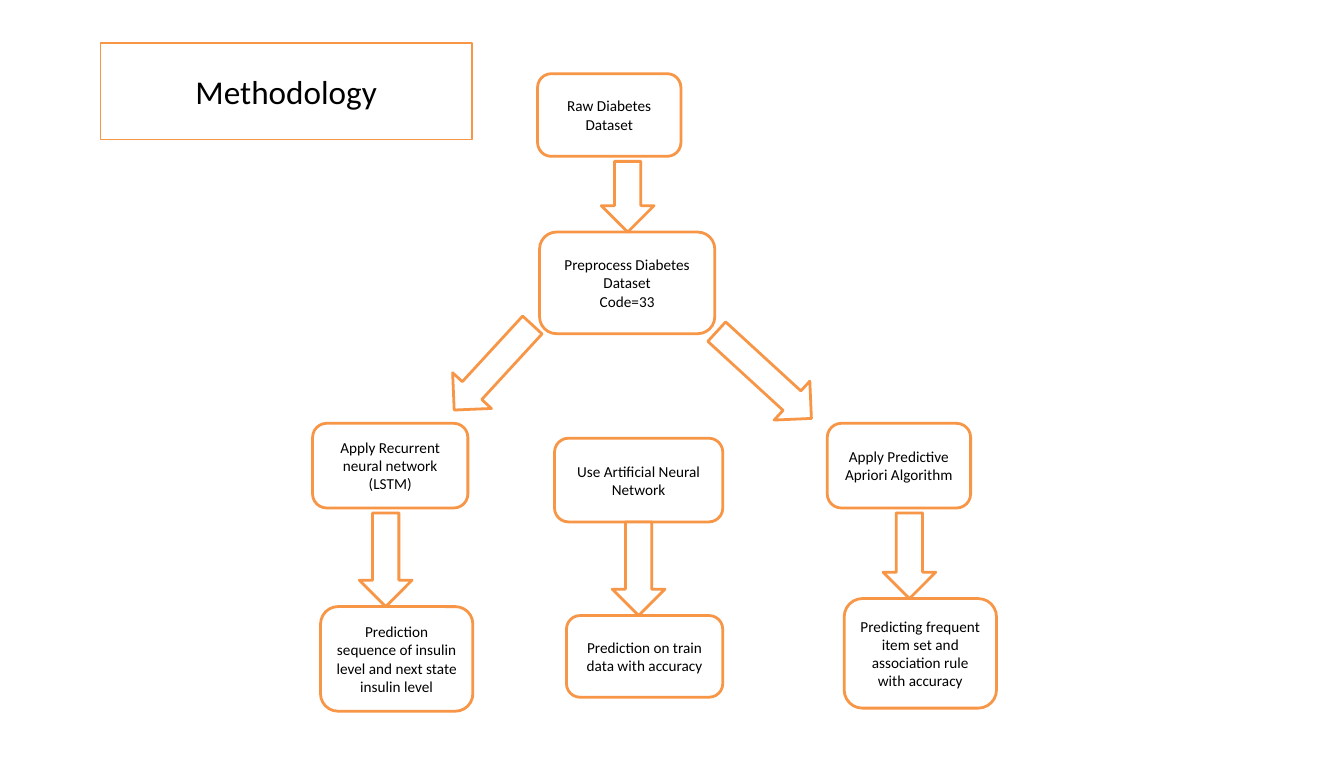
from pptx import Presentation
from pptx.dml.color import RGBColor
from pptx.enum.shapes import MSO_SHAPE
from pptx.enum.text import MSO_ANCHOR, MSO_AUTO_SIZE, PP_ALIGN
from pptx.util import Inches, Pt

ORANGE, WHITE, BLACK = "F79646", "FFFFFF", "000000"
ARROW_W = 0.53


def color(value):
    return RGBColor.from_string(value)


def outline(sp, width=2):
    sp.fill.solid()
    sp.fill.fore_color.rgb = color(WHITE)
    sp.line.color.rgb = color(ORANGE)
    sp.line.width = Pt(width)


def write(sp, text, size=11, font="Calibri", ink=BLACK, indent=0):
    tf = sp.text_frame
    tf.word_wrap = True
    tf.auto_size = MSO_AUTO_SIZE.NONE
    tf.vertical_anchor = MSO_ANCHOR.MIDDLE
    tf.text = text
    for p in tf.paragraphs:
        p.alignment = PP_ALIGN.CENTER
        pPr = p._p.get_or_add_pPr()
        pPr.set("marL", "0")
        pPr.set("indent", str(Inches(indent)))
        for r in p.runs:
            r.font.size = Pt(size)
            r.font.name = font
            r.font.color.rgb = color(ink)


def add_outlined(s, kind, x, y, w, h):
    sp = s.shapes.add_shape(kind, Inches(x), Inches(y), Inches(w), Inches(h))
    sp.shadow.inherit = False
    outline(sp)
    return sp


def add_step(s, x, y, w, h, text):
    sp = add_outlined(s, MSO_SHAPE.ROUNDED_RECTANGLE, x, y, w, h)
    write(sp, text, indent=-0.08)


def add_arrow(s, x, y, h, rotation=0):
    sp = add_outlined(s, MSO_SHAPE.DOWN_ARROW, x, y, ARROW_W, h)
    sp.rotation = rotation


def add_title(s, x, y, w, h, text):
    sp = s.shapes.title
    sp.left, sp.top, sp.width, sp.height = map(Inches, (x, y, w, h))
    outline(sp, width=1)
    write(sp, text, size=24)


def add_preparation(s, x, y):
    # Raw data leads down to preprocessing
    add_step(s, x, y, 1.44, 0.83, "Raw Diabetes\nDataset")
    add_step(s, x + 0.02, y + 1.59, 1.76, 1.02,
             "Preprocess Diabetes Dataset\nCode=33")
    add_arrow(s, x + 0.64, y + 0.88, 0.71)
    # Slanted arrows to the outer branches
    add_arrow(s, x - 0.71, y + 2.37, 1.16, rotation=42.6)
    add_arrow(s, x + 2.01, y + 2.38, 1.29, rotation=312.5)


def add_branch(s, x, y, method, outcome, arrow_dx, gap=0.05):
    """Method and outcome are (dx, dy, width, height, text) from x, y."""
    for dx, dy, w, h, text in (method, outcome):
        add_step(s, x + dx, y + dy, w, h, text)
    start = method[3] + gap
    add_arrow(s, x + arrow_dx, y + start, outcome[1] - start)


def main():
    prs = Presentation()
    prs.slide_width, prs.slide_height = Inches(13.5), Inches(7.6)
    s = prs.slides.add_slide(prs.slide_layouts[5])

    add_title(s, 1.01, 0.43, 3.73, 0.97, "Methodology")
    add_preparation(s, 5.4, 0.74)

    # Recurrent network
    add_branch(s, 3.14, 4.25,
               (0, 0, 1.56, 0.85, "Apply Recurrent neural network (LSTM)"),
               (0.08, 1.84, 1.53, 1.05, "Prediction sequence of insulin "
                "level and next state insulin level"),
               arrow_dx=0.47)
    # Artificial network
    add_branch(s, 5.57, 4.4,
               (0, 0, 1.69, 0.84, "Use Artificial Neural Network"),
               (0.12, 1.78, 1.57, 0.82,
                "Prediction on train data with accuracy"),
               arrow_dx=0.58, gap=0)
    # Association rules
    add_branch(s, 8.31, 4.25,
               (0, 0, 1.44, 0.85, "Apply Predictive Apriori Algorithm"),
               (0.17, 1.76, 1.53, 1.1, "Predicting frequent item set and "
                "association rule with accuracy"),
               arrow_dx=0.56)

    prs.save("out.pptx")


if __name__ == "__main__":
    main()
